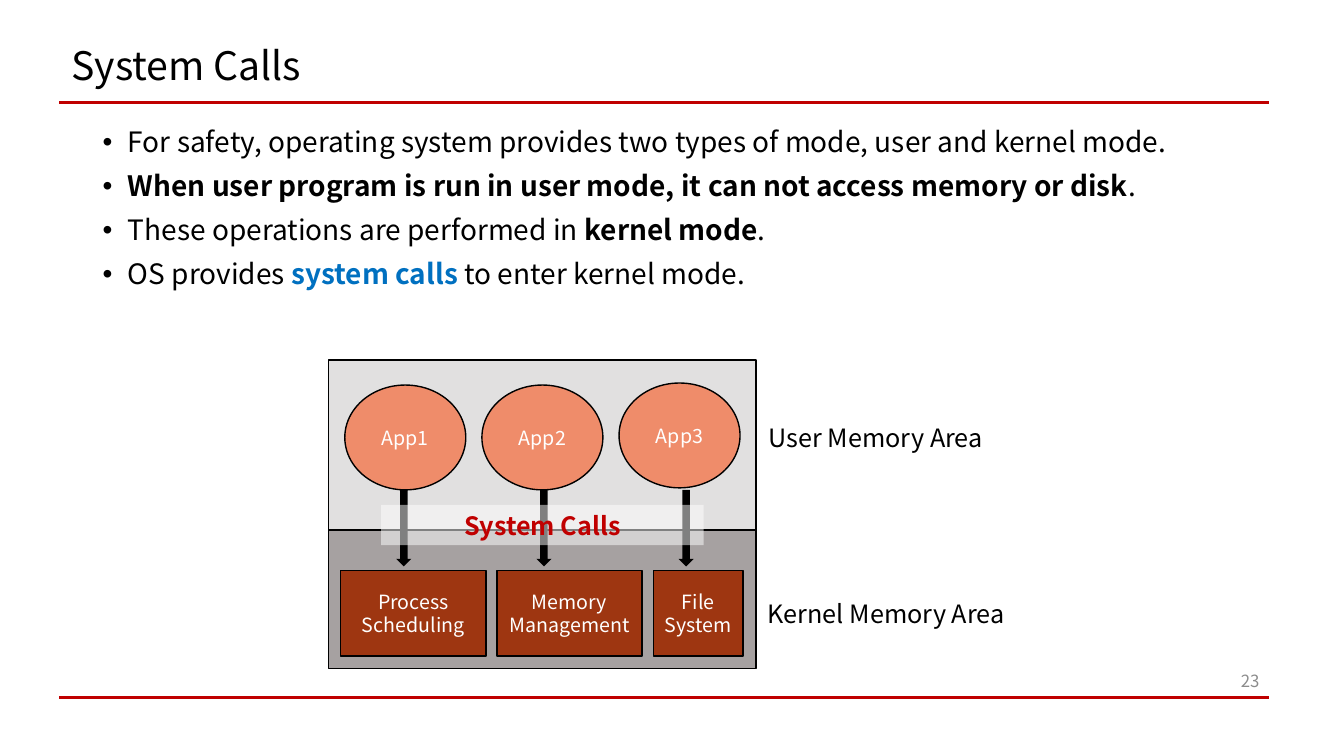
"""Build the System Calls slide with its user and kernel memory diagram."""
from dataclasses import dataclass
from typing import Any

import lxml.etree
import pptx
import pptx.dml.color
import pptx.enum.shapes
import pptx.enum.text
import pptx.oxml.ns
import pptx.util

Inches = pptx.util.Inches
SHAPE = pptx.enum.shapes.MSO_SHAPE
ALIGN = pptx.enum.text.PP_ALIGN
ANCHOR = pptx.enum.text.MSO_ANCHOR
qn = pptx.oxml.ns.qn


@dataclass(frozen=True)
class Theme:
    font: str = "Noto Sans CJK KR"
    black: str = "000000"
    white: str = "FFFFFF"
    red: str = "C00000"
    blue: str = "0070C0"
    grey: str = "8C8C8C"
    user_area: str = "E1E0E0"
    kernel_area: str = "A6A1A1"
    app: str = "EF8C6A"
    service: str = "9E3611"
    title_size: int = 28
    body_size: int = 20
    label_size: int = 18
    block_size: int = 14
    number_size: int = 12


THEME = Theme()


@dataclass(frozen=True)
class Box:
    left: float
    top: float
    width: float
    height: float

    def lengths(self) -> list[int]:
        return [Inches(v) for v in (self.left, self.top, self.width, self.height)]


@dataclass(frozen=True)
class Style:
    size: int
    color: str
    bold: bool = False
    align: Any = ALIGN.CENTER
    anchor: Any = ANCHOR.MIDDLE


@dataclass(frozen=True)
class Span:
    text: str
    bold: bool = False
    color: str = THEME.black


@dataclass(frozen=True)
class Block:
    kind: Any
    box: Box
    fill: str
    lines: tuple[str, ...] = ()
    outlined: bool = True


BLOCK_STYLE = Style(THEME.block_size, THEME.white)
LABEL_STYLE = Style(THEME.label_size, THEME.black, anchor=ANCHOR.TOP)
POINTS = (
    (Span("For safety, operating system provides two types of mode, user and kernel mode."),),
    (Span("When user program is run in user mode, it can not access memory or disk", True), Span(".")),
    (Span("These operations are performed in "), Span("kernel mode", True), Span(".")),
    (Span("OS provides "), Span("system calls", True, THEME.blue), Span(" to enter kernel mode.")),
)
AREAS = (
    Block(SHAPE.RECTANGLE, Box(3.26, 5.26, 4.24, 1.37), THEME.kernel_area),
    Block(SHAPE.RECTANGLE, Box(3.26, 3.57, 4.24, 1.69), THEME.user_area),
)
AREA_LABELS = (
    ("User Memory Area", Box(7.5, 4.14, 2.37, 0.4)),
    ("Kernel Memory Area", Box(7.5, 5.89, 2.58, 0.4)),
)
SERVICES = tuple(
    Block(SHAPE.RECTANGLE, Box(left, 5.66, width, 0.85), THEME.service, lines)
    for left, width, lines in (
        (3.38, 1.44, ("Process", "Scheduling")),
        (4.93, 1.44, ("Memory", "Management")),
        (6.48, 0.89, ("File", "System")),
    )
)
APPS = tuple(
    Block(SHAPE.OVAL, Box(3.42 + 1.36 * i, top, 1.2, 1.04), THEME.app, (f"App{i + 1}",))
    for i, top in enumerate((3.82, 3.82, 3.8))
)
CALLS = tuple(
    Block(SHAPE.DOWN_ARROW, Box(left, 4.86, 0.15, 0.76), THEME.black, outlined=False)
    for left in (3.93, 5.32, 6.73)
)
CALL_BAND = Block(SHAPE.RECTANGLE, Box(3.78, 5.01, 3.2, 0.4), THEME.white, ("System Calls",), False)


def rgb(value: str) -> Any:
    return pptx.dml.color.RGBColor.from_string(value)


def set_font(font: Any, style: Style) -> None:
    font.name = THEME.font
    font.size = pptx.util.Pt(style.size)
    font.bold = style.bold
    font.color.rgb = rgb(style.color)


def write(shape: Any, lines: tuple[str, ...], style: Style) -> None:
    frame = shape.text_frame
    frame.vertical_anchor = style.anchor
    frame.text = "\n".join(lines)
    for paragraph in frame.paragraphs:
        paragraph.alignment = style.align
        set_font(paragraph.font, style)


def add_text(slide: Any, text: str, box: Box, style: Style, wrap: bool = True) -> Any:
    text_box = slide.shapes.add_textbox(*box.lengths())
    text_box.text_frame.word_wrap = wrap
    write(text_box, (text,), style)
    return text_box


def add_block(slide: Any, block: Block, style: Style = BLOCK_STYLE) -> Any:
    shape = slide.shapes.add_shape(block.kind, *block.box.lengths())
    shape.shadow.inherit = False
    shape.fill.solid()
    shape.fill.fore_color.rgb = rgb(block.fill)
    if block.outlined:
        shape.line.color.rgb = rgb(THEME.black)
        shape.line.width = pptx.util.Pt(1)
    else:
        shape.line.fill.background()
    if block.lines:
        write(shape, block.lines, style)
    return shape


def add_rule(slide: Any, y: float) -> None:
    rule = slide.shapes.add_connector(
        pptx.enum.shapes.MSO_CONNECTOR.STRAIGHT, Inches(0.59), Inches(y), Inches(12.59), Inches(y)
    )
    rule.line.color.rgb = rgb(THEME.red)
    rule.line.width = pptx.util.Pt(2.25)
    lxml.etree.SubElement(rule._element.spPr, qn("a:effectLst"))


def add_points(slide: Any, box: Box) -> None:
    frame = slide.shapes.add_textbox(*box.lengths()).text_frame
    frame.word_wrap = True
    for index, spans in enumerate(POINTS):
        paragraph = frame.add_paragraph() if index else frame.paragraphs[0]
        properties = paragraph._p.get_or_add_pPr()
        properties.set("marL", str(Inches(0.25)))
        properties.set("indent", str(Inches(-0.25)))
        lxml.etree.SubElement(properties, qn("a:buFont"), typeface="Arial")
        lxml.etree.SubElement(properties, qn("a:buChar"), char="•")
        paragraph.line_spacing = 0.9
        paragraph.space_before = pptx.util.Pt(10)
        for span in spans:
            run = paragraph.add_run()
            run.text = span.text
            set_font(run.font, Style(THEME.body_size, span.color, span.bold))


def main() -> None:
    deck = pptx.Presentation()
    deck.slide_width, deck.slide_height = Inches(13.33), Inches(7.5)
    slide = deck.slides.add_slide(deck.slide_layouts[6])
    for y in (1.02, 6.92):
        add_rule(slide, y)
    title_style = Style(THEME.title_size, THEME.black, align=ALIGN.LEFT)
    title = add_text(slide, "System Calls", Box(0.61, 0.41, 11.5, 0.53), title_style)
    title.text_frame.paragraphs[0].line_spacing = 0.9
    add_points(slide, Box(0.92, 1.22, 11.5, 5.41))
    for block in AREAS:
        add_block(slide, block)
    for text, box in AREA_LABELS:
        add_text(slide, text, box, LABEL_STYLE, wrap=False)
    for block in SERVICES + APPS + CALLS:
        add_block(slide, block)
    band = add_block(slide, CALL_BAND, Style(THEME.label_size, THEME.red, bold=True))
    band_color = band._element.spPr.find(".//" + qn("a:srgbClr"))
    lxml.etree.SubElement(band_color, qn("a:alpha"), val="50000")
    add_text(slide, "23", Box(12.1, 6.55, 0.49, 0.4), Style(THEME.number_size, THEME.grey, align=ALIGN.RIGHT))
    deck.save("out.pptx")


if __name__ == "__main__":
    main()
